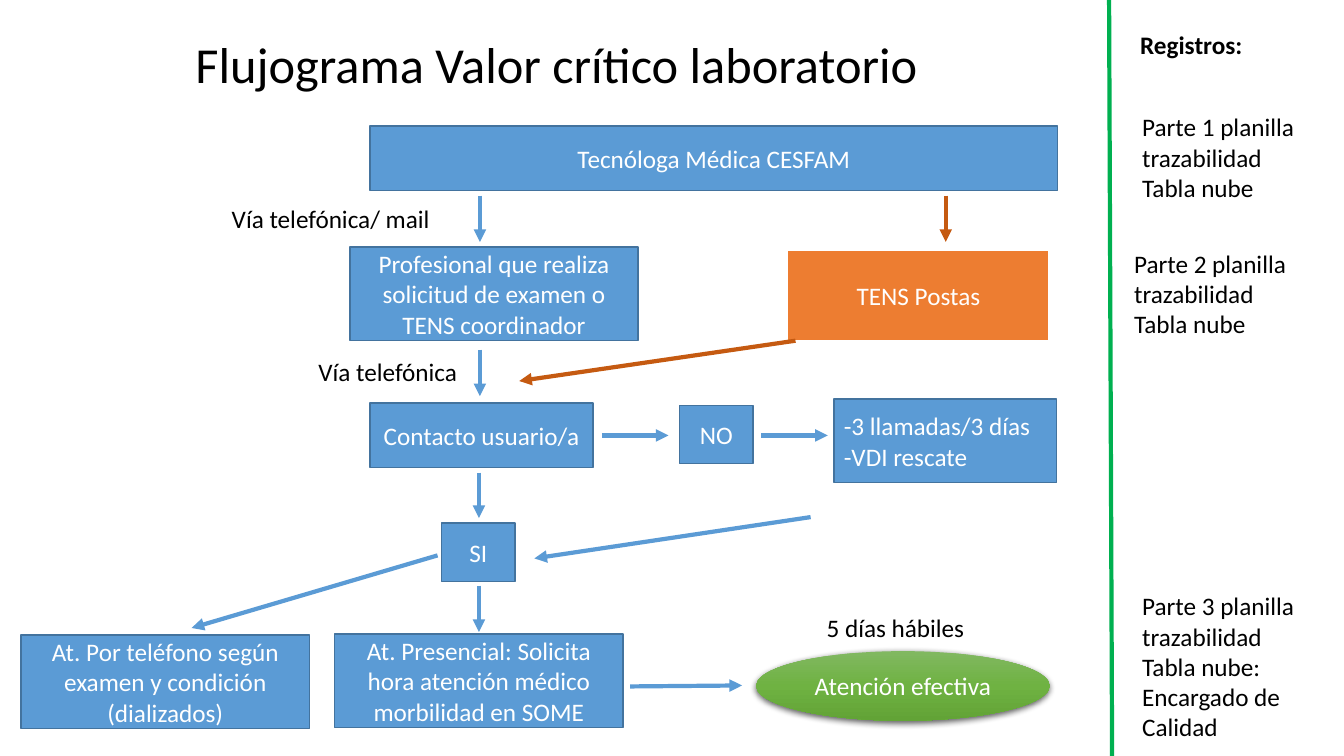
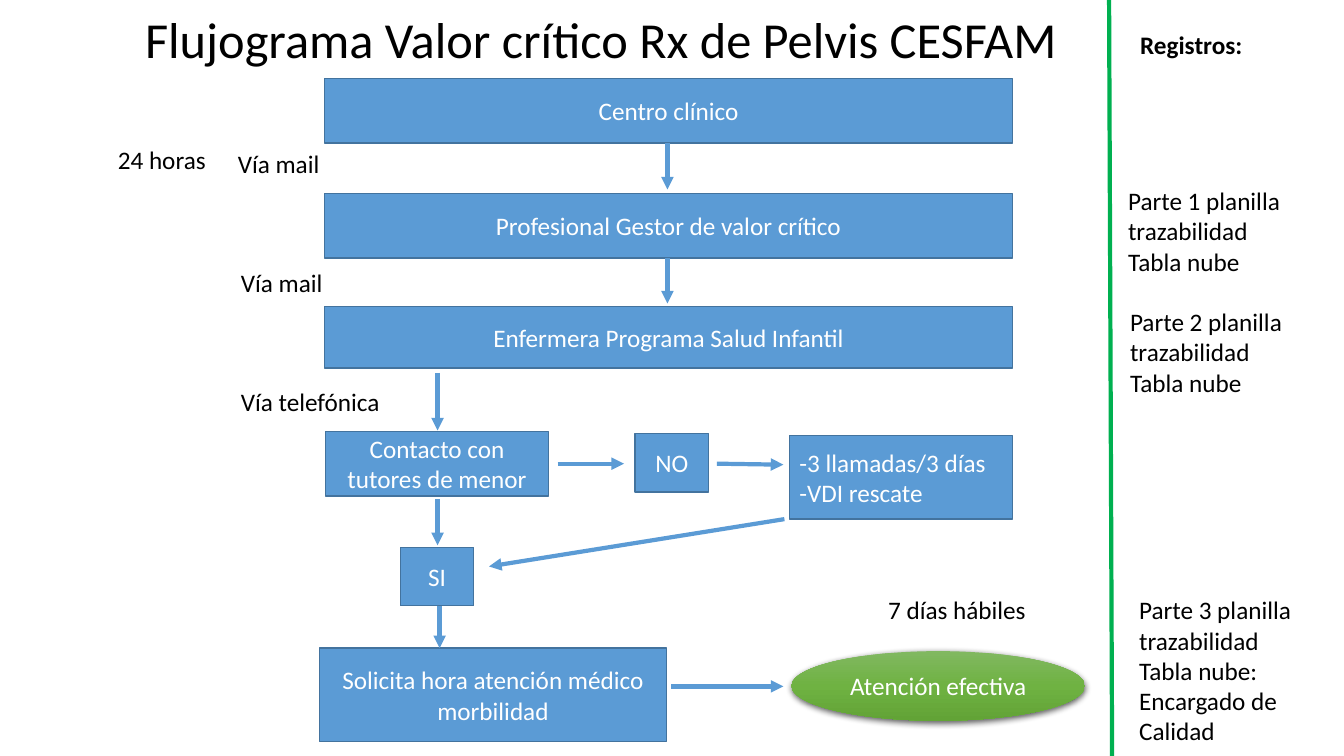
from copy import deepcopy
from dataclasses import dataclass

from pptx import Presentation
from pptx.dml.color import RGBColor
from pptx.enum.shapes import MSO_CONNECTOR, MSO_SHAPE
from pptx.enum.text import MSO_ANCHOR, MSO_AUTO_SIZE, PP_ALIGN
from pptx.oxml import parse_xml
from pptx.oxml.ns import nsdecls, qn
from pptx.util import Pt

RECTANGLE, OVAL = MSO_SHAPE.RECTANGLE, MSO_SHAPE.OVAL
STRAIGHT = MSO_CONNECTOR.STRAIGHT
TOP, MIDDLE = MSO_ANCHOR.TOP, MSO_ANCHOR.MIDDLE
LEFT, CENTER = PP_ALIGN.LEFT, PP_ALIGN.CENTER
GROW = MSO_AUTO_SIZE.SHAPE_TO_FIT_TEXT
PX = 9144


@dataclass(frozen=True)
class Theme:
    font: str = "Calibri"
    title_size: int = 36
    body_size: int = 18
    ink: str = "000000"
    paper: str = "FFFFFF"
    blue: str = "5B9BD5"
    blue_edge: str = "43739E"
    orange: str = "ED7D31"
    orange_arrow: str = "C55A11"
    divider: str = "00B050"
    oval: tuple = ((0, "81B861"), (0.5, "6FB242"), (1, "62A336"))
    line_width: int = 3


THEME = Theme()
BODY = {"name": THEME.font, "size": Pt(THEME.body_size), "bold": False}
TITLE = {**BODY, "size": Pt(THEME.title_size)}
HEADING = {**BODY, "bold": True}

BANNER, STEP, CONTACT = (682, 64), (286, 93), (221, 64)
DECISION, RETRY, RESULT = (73, 58), (221, 83), (291, 69)
RETRY_TEXT = "-3 llamadas/3 días\n-VDI rescate"
NOTE = "planilla trazabilidad Tabla nube"
NOTES = [f"Parte 1 {NOTE}", f"Parte 2 {NOTE}",
         f"Parte 3 {NOTE}: Encargado de Calidad"]
NOTE_HEIGHTS = [101, 101, 162]

PAGES = [
    {
        "title": ("Flujograma Valor crítico laboratorio", 184, -6, 916, 145),
        "steps": [
            ("Tecnóloga Médica CESFAM", 367, 125, BANNER),
            ("Profesional que realiza solicitud de examen o TENS coordinador",
             347, 245, STEP),
            ("TENS Postas", 781, 248, (260, 90)),
            ("Contacto usuario/a", 367, 400, CONTACT),
            ("NO", 674, 402, DECISION),
            ("SI", 438, 519, DECISION),
            (RETRY_TEXT, 827, 396, RETRY),
            ("At. Presencial: Solicita hora atención médico morbilidad en SOME",
             332, 629, STEP),
            ("At. Por teléfono según examen y condición (dializados)",
             21, 630, STEP),
        ],
        "result": (750, 646),
        "labels": [
            ("Vía telefónica/ mail", 220, 197, 219),
            ("Vía telefónica", 306, 349, 159),
            ("5 días hábiles", 810, 603, 158),
        ],
        "notes": [(1123, 106), (1115, 241), (1123, 581)],
        "arrows": [
            (476, 194, 476, 240), (476, 347, 476, 393), (597, 432, 663, 432),
            (475, 469, 475, 514), (755, 432, 821, 432), (475, 581, 475, 627),
            (625, 681, 736, 680), (804, 513, 530, 554), (434, 551, 190, 623),
        ],
        "orange_arrows": [(938, 194, 938, 240), (789, 338, 515, 378)],
    },
    {
        "title": ("Flujograma Valor crítico Rx de Pelvis CESFAM",
                  134, -9, 966, 102),
        "steps": [
            ("Centro clínico", 322, 78, BANNER),
            ("Profesional Gestor de valor crítico", 322, 192, BANNER),
            ("Enfermera Programa Salud Infantil", 322, 304, (682, 61)),
            ("Contacto con tutores de menor", 323, 428, CONTACT),
            ("NO", 630, 430, DECISION),
            ("SI", 397, 543, DECISION),
            (RETRY_TEXT, 783, 432, RETRY),
            ("Solicita hora atención médico morbilidad", 317, 643, (344, 93)),
        ],
        "result": (785, 646),
        "labels": [
            ("24 horas", 107, 138, 108),
            ("Vía mail", 226, 142, 108),
            ("Vía mail", 229, 260, 102),
            ("Vía telefónica", 229, 378, 159),
            ("7 días hábiles", 871, 585, 158),
        ],
        "notes": [(1109, 179), (1111, 299), (1120, 585)],
        "arrows": [
            (662, 142, 662, 188), (662, 256, 662, 301), (434, 370, 434, 427),
            (553, 460, 619, 460), (434, 495, 434, 541), (711, 460, 777, 461),
            (436, 601, 436, 643), (666, 681, 777, 681), (778, 515, 485, 562),
        ],
        "orange_arrows": [],
    },
]


def write(box, text, style=BODY, color=THEME.ink, align=LEFT, anchor=TOP,
          wrap=True):
    frame = box.text_frame
    frame.text = text
    frame.word_wrap = wrap
    frame.vertical_anchor = anchor
    for para in frame.paragraphs:
        para.alignment = align
        for span in para.runs:
            for name, value in style.items():
                setattr(span.font, name, value)
            span.font.color.rgb = RGBColor.from_string(color)


def draw_line(page, ends, color, arrow=True):
    line = page.shapes.add_connector(STRAIGHT, *(end * PX for end in ends))
    line.line.color.rgb = RGBColor.from_string(color)
    line.line.width = Pt(THEME.line_width)
    properties = line.element.spPr
    if arrow:
        properties.find(qn("a:ln")).append(
            parse_xml(f'<a:tailEnd {nsdecls("a")} type="triangle"/>'))
    properties.append(parse_xml(f'<a:effectLst {nsdecls("a")}/>'))


deck = Presentation()
deck.slide_width, deck.slide_height = 1333 * PX, 750 * PX
blank = deck.slide_layouts[6]

for content in PAGES:
    page = deck.slides.add_slide(blank)

    title, *place = content["title"]
    box = page.shapes.add_textbox(*(length * PX for length in place))
    write(box, title, TITLE, anchor=MIDDLE)
    box.text_frame.paragraphs[0].line_spacing = 0.9

    for text, left, top, size in content["steps"]:
        box = page.shapes.add_shape(
            RECTANGLE, *(length * PX for length in (left, top, *size)))
        box.shadow.inherit = False
        fill, edge, width = THEME.blue, THEME.blue_edge, 1
        if text == "TENS Postas":
            fill, edge, width = THEME.orange, THEME.paper, 1.5
        box.fill.solid()
        box.fill.fore_color.rgb = RGBColor.from_string(fill)
        box.line.color.rgb = RGBColor.from_string(edge)
        box.line.width = Pt(width)
        align = LEFT if text == RETRY_TEXT else CENTER
        write(box, text, color=THEME.paper, align=align, anchor=MIDDLE)

    oval = page.shapes.add_shape(
        OVAL, *(length * PX for length in (*content["result"], *RESULT)))
    oval.line.fill.background()
    oval.fill.gradient()
    oval.fill.gradient_angle = 270
    stops = oval.element.spPr.find(f'{qn("a:gradFill")}/{qn("a:gsLst")}')
    stops.insert(1, deepcopy(stops[0]))
    for stop, (position, color) in zip(oval.fill.gradient_stops, THEME.oval):
        stop.position = position
        stop.color.rgb = RGBColor.from_string(color)
    oval.shadow.inherit = False
    oval.element.spPr.find(qn("a:effectLst")).append(parse_xml(
        f'<a:outerShdw {nsdecls("a")} blurRad="{Pt(4.5)}" dist="{Pt(1.5)}" '
        f'dir="5400000" algn="ctr" rotWithShape="0">'
        f'<a:srgbClr val="{THEME.ink}"><a:alpha val="63000"/></a:srgbClr>'
        f'</a:outerShdw>'))
    write(oval, "Atención efectiva", color=THEME.paper, align=CENTER,
          anchor=MIDDLE)

    for text, left, top, width in content["labels"]:
        box = page.shapes.add_textbox(left * PX, top * PX, width * PX, 40 * PX)
        write(box, text, wrap=False)
        box.text_frame.auto_size = GROW

    for text, (left, top), height in zip(NOTES, content["notes"], NOTE_HEIGHTS):
        box = page.shapes.add_textbox(left * PX, top * PX, 183 * PX, height * PX)
        write(box, text)
        box.text_frame.auto_size = GROW

    heading = page.shapes.add_textbox(1121 * PX, 24 * PX, 183 * PX, 40 * PX)
    write(heading, "Registros:", HEADING)

    for ends in content["arrows"]:
        draw_line(page, ends, THEME.blue)
    for ends in content["orange_arrows"]:
        draw_line(page, ends, THEME.orange_arrow)
    draw_line(page, (1100, 0, 1103, 750), THEME.divider, arrow=False)

deck.save("out.pptx")
